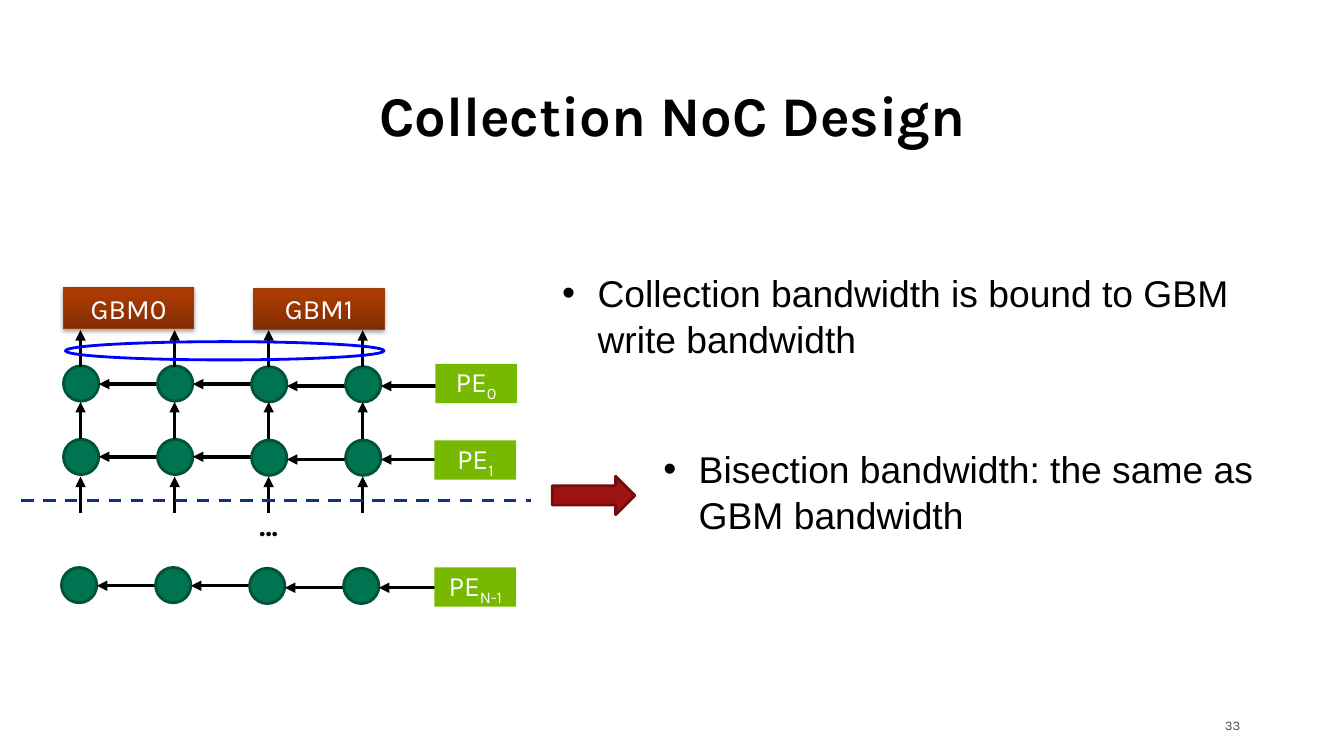
from dataclasses import dataclass

from lxml import etree
from pptx import Presentation
from pptx.dml.color import RGBColor
from pptx.enum.dml import MSO_LINE
from pptx.enum.shapes import MSO_CONNECTOR, MSO_SHAPE
from pptx.enum.text import MSO_ANCHOR, PP_ALIGN
from pptx.oxml.ns import qn
from pptx.util import Cm, Pt

STRAIGHT = MSO_CONNECTOR.STRAIGHT
RECT, OVAL = MSO_SHAPE.RECTANGLE, MSO_SHAPE.OVAL
RIGHT_ARROW, RING = MSO_SHAPE.RIGHT_ARROW, MSO_SHAPE.FLOWCHART_CONNECTOR
DASH = MSO_LINE.DASH
CENTER, LEFT, RIGHT = PP_ALIGN.CENTER, PP_ALIGN.LEFT, PP_ALIGN.RIGHT
TOP, MIDDLE, BOTTOM = MSO_ANCHOR.TOP, MSO_ANCHOR.MIDDLE, MSO_ANCHOR.BOTTOM

COLORS = {
    "black": "000000", "white": "FFFFFF", "number": "505050",
    "router": "007450", "router_edge": "005338", "pe": "76B900",
    "gbm_dark": "822C02", "gbm_light": "A83A02", "gbm_edge": "9A3F12",
    "cut": "0D3481", "arrow": "9E1212", "arrow_edge": "750D0D",
    "ring": "0000FF",
}
COLUMNS = 4
PITCH = 2.37
ROUTER = 0.89
LINK_X = 2.03
LINK_LENGTH = 0.92


@dataclass
class Box:
    x: float
    y: float
    w: float
    h: float


@dataclass
class Row:
    x: float
    y: float
    link_y: float
    drop: float
    pe: Box
    index: str


@dataclass
class Label:
    text: str
    box: Box
    size: float
    color: str = "black"
    font: str = "Karla"
    bold: bool = False
    align: PP_ALIGN = CENTER
    anchor: MSO_ANCHOR = MIDDLE
    spacing: float = 1.0
    bullet: bool = False


ROWS = [
    Row(1.6, 9.22, 9.68, 0.05, Box(10.97, 9.17, 2.06, 0.99), "0"),
    Row(1.6, 11.07, 11.51, 0.07, Box(10.95, 11.1, 2.06, 0.99), "1"),
    Row(1.55, 14.3, 14.76, 0.05, Box(10.95, 14.3, 2.06, 0.99), "N-1"),
]
LINK_TOPS = [8.32, 10.13, 12.01]
GBMS = [
    Label("GBM0", Box(1.6, 7.24, 3.28, 1.04), 20, "white"),
    Label("GBM1", Box(6.4, 7.26, 3.28, 1.04), 20, "white"),
]
BULLETS = [
    Label("Collection bandwidth is bound to GBM write bandwidth",
          Box(13.92, 6.63, 19.51, 2.62), 26.6, font="Arial", align=LEFT,
          anchor=TOP, spacing=1.04, bullet=True),
    Label("Bisection bandwidth: the same as GBM bandwidth",
          Box(16.47, 11.07, 16.94, 2.54), 26.6, font="Arial", align=LEFT,
          anchor=TOP, spacing=1.04, bullet=True),
]
TITLE = Label("Collection NoC Design", Box(1.55, 2.03, 30.78, 1.83), 40,
              bold=True, anchor=BOTTOM, spacing=0.9)
DOTS = Label("…", Box(6.15, 12.78, 1.24, 1.02), 20, bold=True, spacing=0.9)
NUMBER = Label("33", Box(29.8, 18.01, 1.46, 0.51), 9.4, "number", align=RIGHT)


def rgb(name: str) -> RGBColor:
    return RGBColor.from_string(COLORS[name])


def place(box: Box) -> tuple:
    return Cm(box.x), Cm(box.y), Cm(box.w), Cm(box.h)


def style_run(r, label: Label) -> None:
    r.font.size = Pt(label.size)
    r.font.name = label.font
    r.font.bold = label.bold
    r.font.color.rgb = rgb(label.color)


def write(sp, label: Label) -> None:
    tf = sp.text_frame
    tf.text = label.text
    tf.word_wrap = True
    tf.vertical_anchor = label.anchor
    p = tf.paragraphs[0]
    p.alignment = label.align
    p.line_spacing = label.spacing
    style_run(p.runs[0], label)
    if label.bullet:
        pPr = p._p.get_or_add_pPr()
        pPr.set("marL", str(Cm(0.89)))
        pPr.set("indent", str(Cm(-0.89)))
        etree.SubElement(pPr, qn("a:buFont")).set("typeface", "Arial")
        etree.SubElement(pPr, qn("a:buChar")).set("char", "•")


def add_text(s, label: Label):
    sp = s.shapes.add_textbox(*place(label.box))
    write(sp, label)
    return sp


def add_shape(s, kind: MSO_SHAPE, box: Box, fill: str = "", edge: str = "",
              width: float = 2):
    sp = s.shapes.add_shape(kind, *place(box))
    sp.shadow.inherit = False
    if fill:
        sp.fill.solid()
        sp.fill.fore_color.rgb = rgb(fill)
    else:
        sp.fill.background()
    if edge:
        sp.line.color.rgb = rgb(edge)
        sp.line.width = Pt(width)
    else:
        sp.line.fill.background()
    return sp


def add_line(s, x1: float, y1: float, x2: float, y2: float,
             color: str = "black", width: float = 2.5):
    line = s.shapes.add_connector(STRAIGHT, Cm(x1), Cm(y1), Cm(x2), Cm(y2))
    line.line.color.rgb = rgb(color)
    line.line.width = Pt(width)
    etree.SubElement(line._element.spPr, qn("a:effectLst"))
    return line


def add_link(s, x1: float, y1: float, x2: float, y2: float) -> None:
    line = add_line(s, x1, y1, x2, y2)
    ln = line.line._get_or_add_ln()
    etree.SubElement(ln, qn("a:headEnd")).set("type", "triangle")


def add_gbm(s, label: Label) -> None:
    sp = add_shape(s, RECT, label.box, edge="gbm_edge", width=0.75)
    sp.fill.gradient()
    sp.fill.gradient_angle = 90
    for stop, color, position in zip(sp.fill.gradient_stops,
                                     ("gbm_dark", "gbm_light"), (0, 0.8)):
        stop.color.rgb = rgb(color)
        stop.position = position
    effects = sp._element.spPr.find(qn("a:effectLst"))
    shadow = etree.SubElement(effects, qn("a:outerShdw"), blurRad=str(Pt(3.1)),
                              dist=str(Pt(1.8)), dir="5400000", rotWithShape="0")
    tint = etree.SubElement(shadow, qn("a:srgbClr"), val=COLORS["black"])
    etree.SubElement(tint, qn("a:alpha"), val="35000")
    write(sp, label)


def add_row(s, row: Row) -> None:
    for i in range(COLUMNS):
        x = row.x + i * PITCH
        right_half = i >= COLUMNS // 2
        y = row.y + (0.02 if right_half else 0)
        link_y = row.link_y + (row.drop if right_half else 0)
        add_shape(s, OVAL, Box(x, y, ROUTER, ROUTER), "router", "router_edge")
        add_link(s, x + ROUTER, link_y, x + PITCH, link_y)
    label = Label("PE", row.pe, 20, "white")
    sp = add_shape(s, RECT, row.pe, "pe")
    write(sp, label)
    r = sp.text_frame.paragraphs[0].add_run()
    r.text = row.index
    style_run(r, label)
    r.font._element.set("baseline", "-25000")


def main() -> None:
    prs = Presentation()
    prs.slide_width, prs.slide_height = Cm(33.87), Cm(19.05)
    s = prs.slides.add_slide(prs.slide_layouts[6])
    number = add_text(s, NUMBER)
    number.text_frame.margin_left = number.text_frame.margin_right = 0
    number.text_frame.margin_top = number.text_frame.margin_bottom = 0
    add_text(s, TITLE)
    for row in ROWS:
        add_row(s, row)
    for y in LINK_TOPS:
        for i in range(COLUMNS):
            x = LINK_X + i * PITCH
            add_link(s, x, y, x, y + LINK_LENGTH)
    add_text(s, DOTS)
    for gbm in GBMS:
        add_gbm(s, gbm)
    for bullet in BULLETS:
        add_text(s, bullet)
    cut = add_line(s, 0.53, 12.62, 13.39, 12.62, "cut", 2.25)
    cut.line.dash_style = DASH
    add_shape(s, RIGHT_ARROW, Box(13.92, 12, 2.08, 0.97), "arrow", "arrow_edge")
    add_shape(s, RING, Box(1.65, 8.61, 8.03, 0.46), edge="ring")
    prs.save("out.pptx")


if __name__ == "__main__":
    main()
